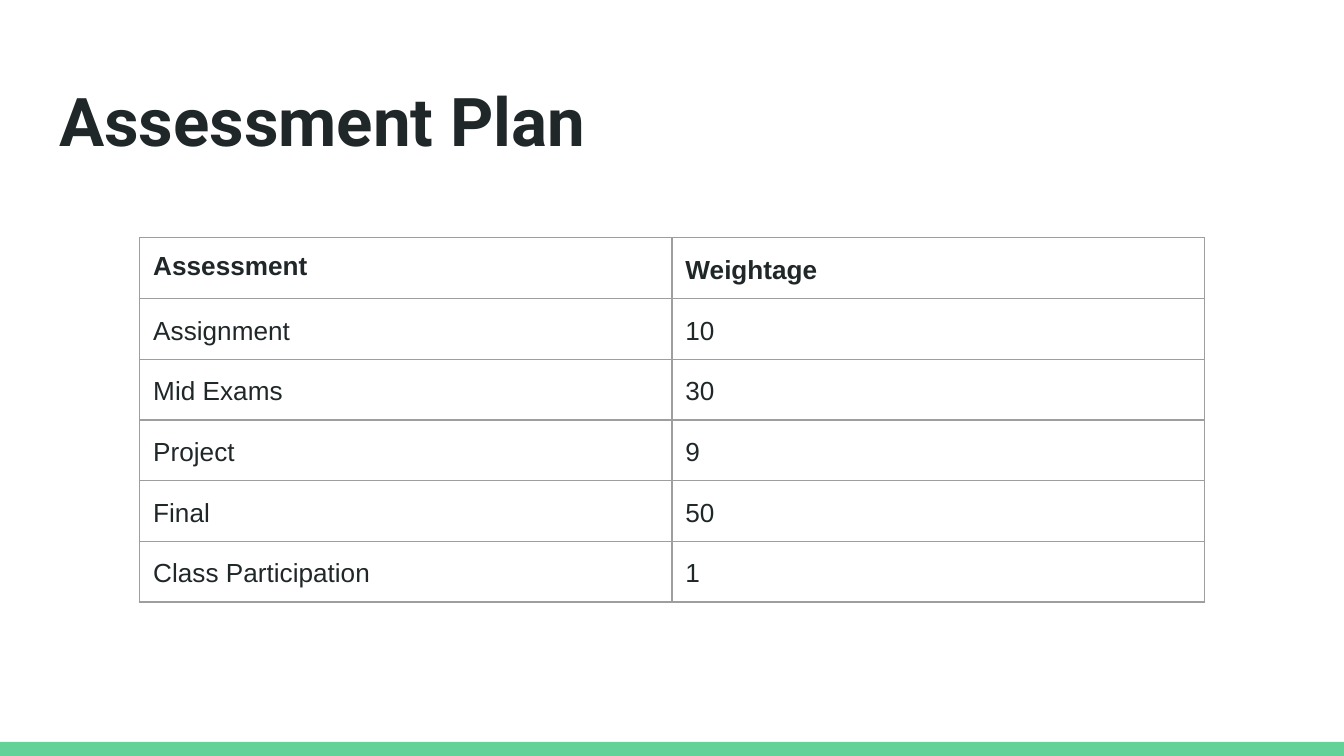
from dataclasses import dataclass

from lxml.etree import SubElement
from pptx import Presentation
from pptx.dml.color import RGBColor
from pptx.enum.shapes import MSO_SHAPE as Shape
from pptx.enum.text import MSO_ANCHOR as Anchor, MSO_AUTO_SIZE as AutoSize, PP_ALIGN as Align
from pptx.oxml.ns import qn
from pptx.util import Inches, Pt


@dataclass(frozen=True)
class Theme:
    ink: str = "202729"
    accent: str = "63D297"
    border: str = "9E9E9E"
    title_font: str = "Roboto"
    body_font: str = "Arial"
    title_size: float = 36
    body_size: float = 14
    border_width: float = 0.75
    inset: float = 0.1


@dataclass(frozen=True)
class Assessment:
    name: str
    weight: str


THEME = Theme()
HEADER = Assessment("Assessment", "Weightage")
ASSESSMENTS = [
    Assessment("Assignment", "10"),
    Assessment("Mid Exams", "30"),
    Assessment("Project", "9"),
    Assessment("Final", "50"),
    Assessment("Class Participation", "1"),
]
PAGE_WIDTH = Inches(10)
PAGE_HEIGHT = PAGE_WIDTH * 9 // 16
COLUMN_WIDTH, ROW_HEIGHT, TABLE_HEIGHT = Inches(3.96), Inches(0.42), Inches(2.67)


def write(frame, text: str, *, font: str, size: float, bold: bool = False,
          spacing: float = 1.0) -> None:
    para = frame.paragraphs[0]
    para.alignment = Align.LEFT
    para.line_spacing = spacing
    span = para.add_run()
    span.text = text
    span.font.name = font
    span.font.size = Pt(size)
    span.font.bold = bold
    span.font.color.rgb = RGBColor.from_string(THEME.ink)


def set_insets(box) -> None:
    box.margin_left = box.margin_right = Inches(THEME.inset)
    box.margin_top = box.margin_bottom = Inches(THEME.inset)


def add_borders(cell) -> None:
    properties = cell._tc.get_or_add_tcPr()
    for index, side in enumerate(("lnL", "lnR", "lnT", "lnB")):
        line = SubElement(properties, qn(f"a:{side}"), w=str(Pt(THEME.border_width)))
        fill = SubElement(line, qn("a:solidFill"))
        SubElement(fill, qn("a:srgbClr"), val=THEME.border)
        properties.insert(index, line)  # borders come before the cell fill


def add_footer_bar(page) -> None:
    top = Inches(5.52)
    bar = page.shapes.add_shape(Shape.RECTANGLE, 0, top, PAGE_WIDTH, PAGE_HEIGHT - top)
    bar.shadow.inherit = False
    bar.fill.solid()
    bar.fill.fore_color.rgb = RGBColor.from_string(THEME.accent)
    bar.line.fill.background()


def add_title(page, text: str) -> None:
    title = page.shapes.title
    title.left, title.top = Inches(0.34), Inches(0.49)
    title.width, title.height = Inches(9.32), Inches(0.63)
    frame = title.text_frame
    frame.auto_size = AutoSize.NONE
    frame.word_wrap = True
    frame.vertical_anchor = Anchor.TOP
    set_insets(frame)
    write(frame, text, font=THEME.title_font, size=THEME.title_size, bold=True)


def add_assessment_table(page, entries: list[Assessment]) -> None:
    rows = [HEADER, *entries]
    width = 2 * COLUMN_WIDTH
    holder = page.shapes.add_table(
        len(rows), 2, (PAGE_WIDTH - width) // 2, Inches(1.77), width, TABLE_HEIGHT)
    table = holder.table
    table.first_row = table.horz_banding = False
    for row, entry in zip(table.rows, rows):
        row.height = ROW_HEIGHT
        for cell, text in zip(row.cells, (entry.name, entry.weight)):
            cell.fill.background()
            cell.vertical_anchor = Anchor.TOP
            set_insets(cell)
            add_borders(cell)
            # Only the first heading is set with single line spacing
            write(cell.text_frame, text, font=THEME.body_font, size=THEME.body_size,
                  bold=entry is HEADER, spacing=1.0 if text == HEADER.name else 1.15)
    holder.height = TABLE_HEIGHT  # row heights are minimums and grow with the text


def main() -> None:
    deck = Presentation()
    deck.slide_width, deck.slide_height = PAGE_WIDTH, PAGE_HEIGHT
    page = deck.slides.add_slide(deck.slide_layouts[5])  # Title Only
    add_footer_bar(page)
    add_title(page, "Assessment Plan")
    add_assessment_table(page, ASSESSMENTS)
    deck.save("out.pptx")


if __name__ == "__main__":
    main()
